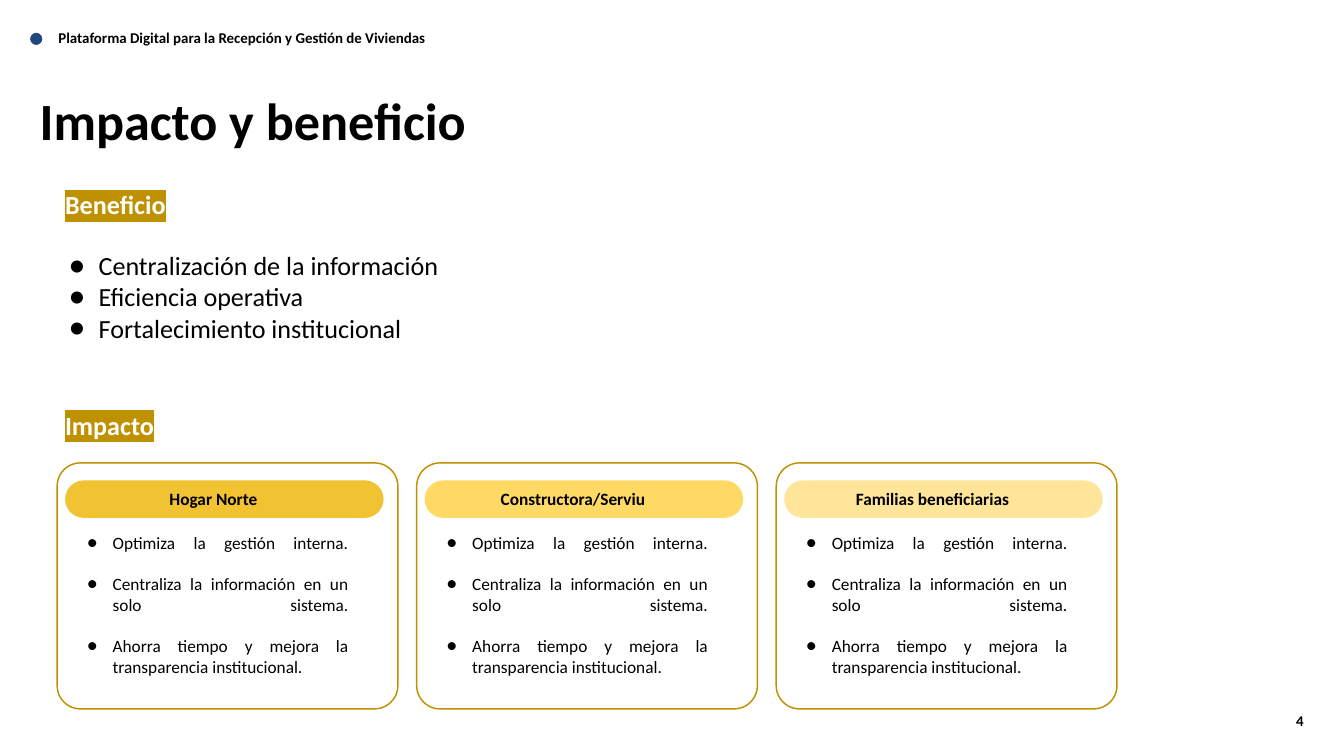
from dataclasses import dataclass
from typing import Optional

from lxml.etree import SubElement as Sub
from pptx import Presentation
from pptx.dml.color import RGBColor as RGB
from pptx.enum.shapes import MSO_SHAPE as Geo
from pptx.enum.text import PP_ALIGN as Align
from pptx.oxml.ns import qn
from pptx.util import Cm, Pt

FONT = "Calibri"
HUES = {
    "black": "000000", "white": "FFFFFF", "navy": "1F497D", "ochre": "BF9000",
    "gold": "F1C232", "amber": "FFD966", "cream": "FFE599",
}


@dataclass
class Box:
    """Place and size in centimetres."""
    x: float
    y: float
    w: float
    h: float

    def cm(self) -> tuple:
        return Cm(self.x), Cm(self.y), Cm(self.w), Cm(self.h)


@dataclass
class Style:
    size: float
    bold: bool = False
    hue: str = "black"
    align: Align = Align.LEFT
    mark: Optional[str] = None   # highlight colour
    hang: float = 0              # bullet hang, 0 for no bullet


@dataclass
class Card:
    name: str
    hue: str


def add_shape(slide, geo: Geo, box: Box, fill: str,
              line: Optional[str] = None, round_: Optional[float] = None) -> None:
    shape = slide.shapes.add_shape(geo, *box.cm())
    shape.shadow.inherit = False
    shape.fill.solid()
    shape.fill.fore_color.rgb = RGB.from_string(HUES[fill])
    if line:
        shape.line.color.rgb = RGB.from_string(HUES[line])
        shape.line.width = Pt(1.55)
    else:
        shape.line.fill.background()
    if round_ is not None:
        shape.adjustments[0] = round_


def add_bullet(para, hang: float) -> None:
    props = para._p.get_or_add_pPr()
    props.set("marL", str(Cm(1.27)))
    props.set("indent", str(-Cm(hang)))
    tint = Sub(props, qn("a:buClr"))
    Sub(tint, qn("a:srgbClr"), val=HUES["black"])
    Sub(props, qn("a:buFont"), typeface=FONT)
    Sub(props, qn("a:buChar"), char="●")


def add_text(slide, box: Box, text: str, style: Style,
             pad: tuple = (0, 0.18, 0, 0)) -> None:
    frame = slide.shapes.add_textbox(*box.cm()).text_frame
    frame.word_wrap = True
    (frame.margin_left, frame.margin_top,
     frame.margin_right, frame.margin_bottom) = map(Cm, pad)
    frame.text = text
    for para in frame.paragraphs:
        para.alignment = style.align
        if style.hang:
            add_bullet(para, style.hang)
        para.font.size = Pt(style.size)
        for run in para.runs:
            font = run.font
            font.name, font.size, font.bold = FONT, Pt(style.size), style.bold
            font.color.rgb = RGB.from_string(HUES[style.hue])
            if style.mark:
                props = run._r.get_or_add_rPr()
                light = Sub(props, qn("a:highlight"))
                Sub(light, qn("a:srgbClr"), val=HUES[style.mark])
                props.find(qn("a:solidFill")).addnext(light)


# Cards: a frame, a pill with its label, and justified points
CARDS = [
    Card("Hogar Norte", "gold"),
    Card("Constructora/Serviu", "amber"),
    Card("Familias beneficiarias", "cream"),
]
STEP = 13.59
# A line break after a point stretches its last line when justified
POINTS = "\v\n".join([
    "Optimiza la gestión interna.",
    "Centraliza la información en un solo sistema.",
    "Ahorra tiempo y mejora la transparencia institucional.",
])


def add_card(slide, card: Card, x: float) -> None:
    add_shape(slide, Geo.ROUNDED_RECTANGLE, Box(x, 17.5, 12.88, 9.3),
              "white", "ochre", 0.095)
    add_shape(slide, Geo.ROUNDED_RECTANGLE, Box(x + 0.3, 18.16, 12.04, 1.42),
              card.hue, round_=0.5)
    add_text(slide, Box(x + 2.26, 18.29, 7.29, 1.14), card.name,
             Style(18.5, True, align=Align.CENTER), (0, 0.15, 0, 0))
    add_text(slide, Box(x + 0.3, 19.58, 11.23, 6.6), POINTS,
             Style(18.5, align=Align.JUSTIFY, hang=0.97), (0.53,) * 4)


def main() -> None:
    deck = Presentation()
    deck.slide_width, deck.slide_height = Cm(50.8), Cm(28.58)
    slide = deck.slides.add_slide(deck.slide_layouts[6])

    # Header, title and page number
    add_shape(slide, Geo.OVAL, Box(1.14, 1.24, 0.46, 0.46), "navy")
    add_text(slide, Box(2.16, 1.04, 22.89, 0.94),
             "Plataforma Digital para la Recepción y Gestión de Viviendas",
             Style(16, True), (0.05,) * 4)
    add_text(slide, Box(1.5, 3.15, 18.9, 2.97), "Impacto y beneficio",
             Style(56, True))
    add_text(slide, Box(47.3, 26.8, 2.08, 0.94), "4",
             Style(16, True, align=Align.RIGHT), (0.1,) * 4)

    # Section heads
    head = Style(28, True, "white", mark="ochre")
    for name, y in (("Beneficio", 6.96), ("Impacto", 15.29)):
        add_text(slide, Box(2.46, y, 35.43, 1.42), name, head)

    # Benefits
    gains = ["Centralización de la información", "Eficiencia operativa",
             "Fortalecimiento institucional"]
    add_text(slide, Box(2.46, 9.25, 35.43, 4.47), "\n".join(gains),
             Style(28, hang=1.12))

    # Impact
    for i, card in enumerate(CARDS):
        add_card(slide, card, 2.16 + i * STEP)

    deck.save("out.pptx")


if __name__ == "__main__":
    main()
